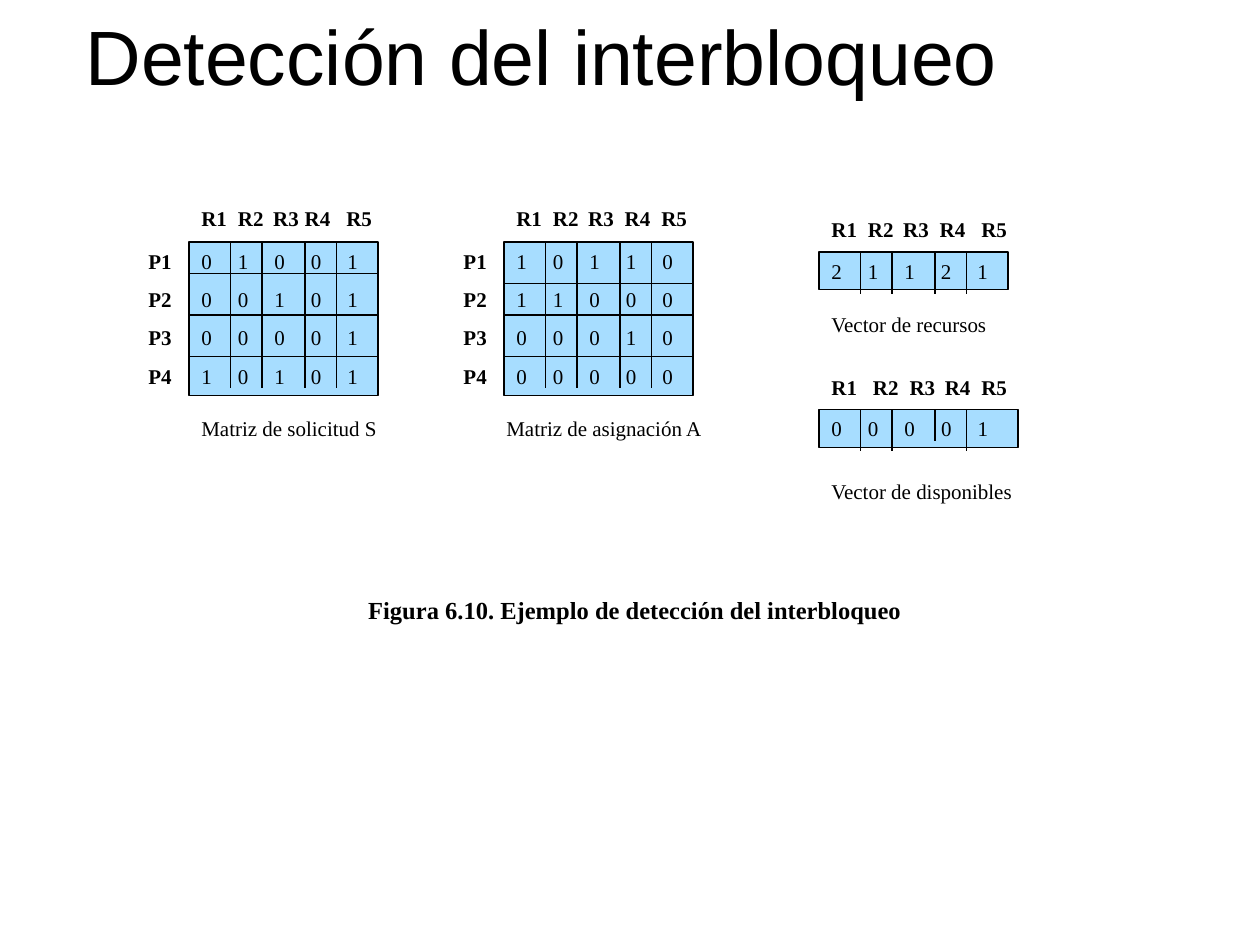
from lxml.etree import SubElement
from pptx import Presentation
from pptx.dml.color import RGBColor
from pptx.enum.shapes import MSO_CONNECTOR, MSO_SHAPE
from pptx.enum.text import MSO_ANCHOR, PP_ALIGN
from pptx.oxml.ns import qn
from pptx.util import Inches, Pt

UNIT = 1 / 12
LINE_HEIGHT = 3.6
MATRIX_HEIGHT = 14.6
DIVIDERS = (4, 7, 11, 14)
DIGIT_STOPS = (0.29, 0.58, 0.87, 1.16)
HEADER_STOPS = (0.29, 0.57, 0.86, 1.15)
RESOURCES = ("R1", "R2", "R3", "R4", "R5")
PROCESSES = ("P1", "P2", "P3", "P4")


def grid(count):
    """Turn a number of grid steps into a length."""
    return Inches(round(count * UNIT, 2))


def color(value):
    """Turn a hex string into a colour."""
    return RGBColor.from_string(value)


def write(frame, lines, size=12, bold=False, font="Times New Roman",
          align=PP_ALIGN.LEFT, anchor=MSO_ANCHOR.TOP, stops=()):
    """Fill a text frame with one paragraph per line."""
    frame.word_wrap = True
    frame.vertical_anchor = anchor
    for index, line in enumerate(lines):
        para = frame.add_paragraph() if index else frame.paragraphs[0]
        para.alignment = align
        if index:
            para.space_before = Pt(7.5)
        if stops:
            tabs = SubElement(para._p.get_or_add_pPr(), qn("a:tabLst"))
            for stop in stops:
                SubElement(tabs, qn("a:tab"), pos=str(Inches(stop)), algn="l")
        span = para.add_run()
        span.text = line
        span.font.name = font
        span.font.size = Pt(size)
        span.font.bold = bold
        span.font.color.rgb = color("000000")


def add_text(page, left, top, width, height, lines, **style):
    """Add a text box placed on the grid."""
    box = page.shapes.add_textbox(*map(grid, (left, top, width, height)))
    write(box.text_frame, lines, **style)


def add_divider(page, start, end):
    """Draw a thin black line between two grid points."""
    line = page.shapes.add_connector(
        MSO_CONNECTOR.STRAIGHT, *map(grid, (*start, *end)))
    line.line.color.rgb = color("000000")
    line.line.width = Pt(0.75)
    SubElement(line._element.spPr, qn("a:effectLst"))


def add_cells(page, left, top, width, height, rows, depths, row_dividers=()):
    """Draw a blue block of numbers with its column and row dividers."""
    block = page.shapes.add_shape(
        MSO_SHAPE.RECTANGLE, *map(grid, (left, top, width, height)))
    block.shadow.inherit = False
    block.fill.solid()
    block.fill.fore_color.rgb = color("A7DDFF")
    block.line.color.rgb = color("000000")
    block.line.width = Pt(0.75)
    write(block.text_frame, ["\t".join(row) for row in rows], stops=DIGIT_STOPS)
    for offset, depth in zip(DIVIDERS, depths):
        add_divider(page, (left + offset, top), (left + offset, top + depth))
    for offset in row_dividers:
        add_divider(page, (left, top + offset), (left + width, top + offset))


def add_header(page, left, top, width, stops):
    """Write the resource names above a block."""
    add_text(page, left, top, width, LINE_HEIGHT, ["\t".join(RESOURCES)],
             bold=True, stops=stops)


def add_matrix(page, left, rows, row_dividers, stops, label_width, caption,
               caption_left, caption_width):
    """Draw a matrix with resource names, process names and a caption."""
    add_cells(page, left, 23, 18, MATRIX_HEIGHT, rows, (14,) * 4, row_dividers)
    add_header(page, left, 19, 20, stops)
    add_text(page, left - 5, 23, label_width, MATRIX_HEIGHT, PROCESSES, bold=True)
    add_text(page, caption_left, 39, caption_width, LINE_HEIGHT, [caption])


def add_vector(page, top, width, row, depths, header_width, stops, caption,
               caption_top, caption_width):
    """Draw a one-row vector with resource names and a caption."""
    left = 78
    add_cells(page, left, top, width, LINE_HEIGHT, [row], depths)
    add_header(page, left, top - 4, header_width, stops)
    add_text(page, left, caption_top, caption_width, LINE_HEIGHT, [caption])


def main():
    """Build the deadlock detection slide."""
    deck = Presentation()
    deck.slide_width, deck.slide_height = Inches(10), Inches(7.5)
    page = deck.slides.add_slide(deck.slide_layouts[6])
    add_text(page, -2.4, -2.3, 108, 15, ["Detección del interbloqueo"], size=44,
             font="Arial", align=PP_ALIGN.CENTER, anchor=MSO_ANCHOR.MIDDLE)
    add_matrix(page, 18, ("01001", "00101", "00001", "10101"), (3, 7, 11),
               (0.29, 0.57, 0.82, 1.15), 6, "Matriz de solicitud S", 18, 20)
    add_matrix(page, 48, ("10110", "11000", "00010", "00000"), (4, 7, 11),
               HEADER_STOPS, 7, "Matriz de asignación A", 47, 23)
    add_vector(page, 24, 18, "21121", (4, 4, 4, 4), 23,
               (0.29, 0.57, 0.86, 1.19), "Vector de recursos", 29, 21)
    add_vector(page, 39, 19, "00001", (4, 4, 3, 4), 21,
               (0.33, 0.62, 0.9, 1.19), "Vector de disponibles", 45, 26)
    add_text(page, 16, 56, 89, 4,
             ["Figura 6.10. Ejemplo de detección del interbloqueo"],
             size=14, bold=True, align=PP_ALIGN.CENTER)
    deck.save("out.pptx")


if __name__ == "__main__":
    main()
